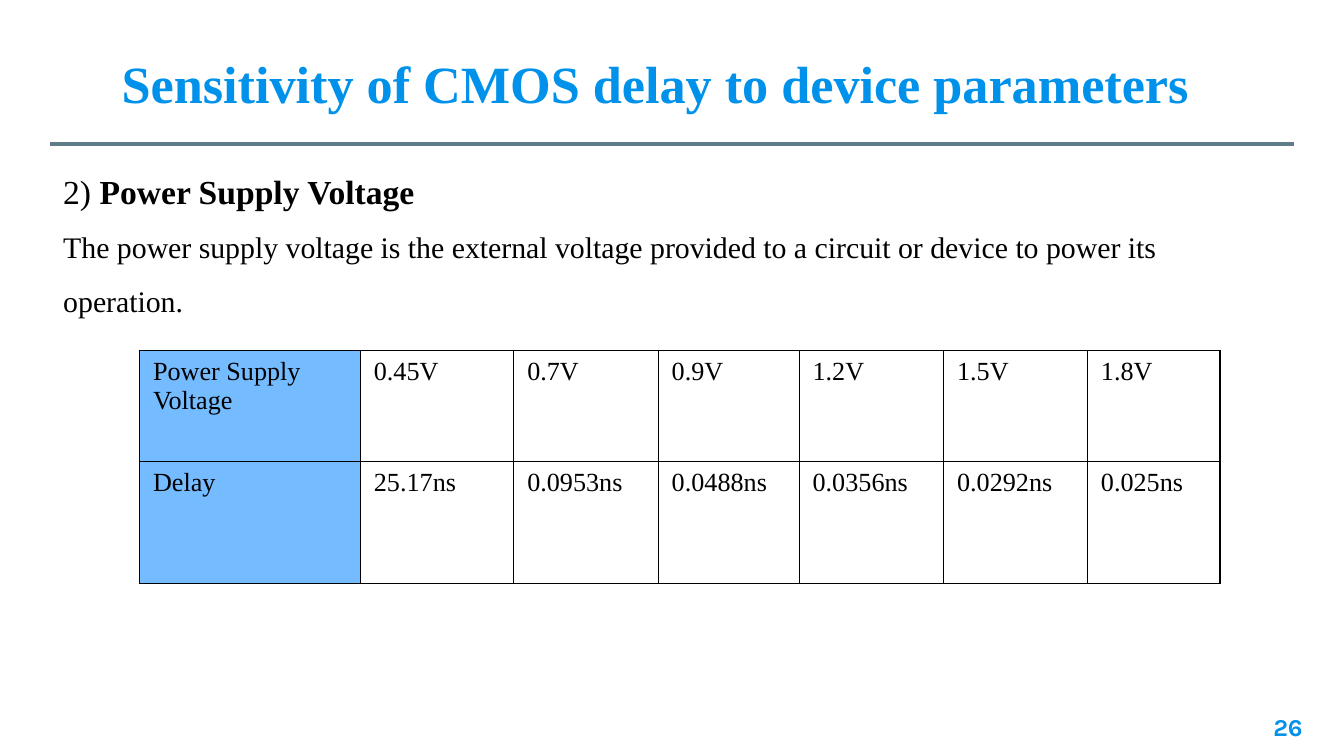
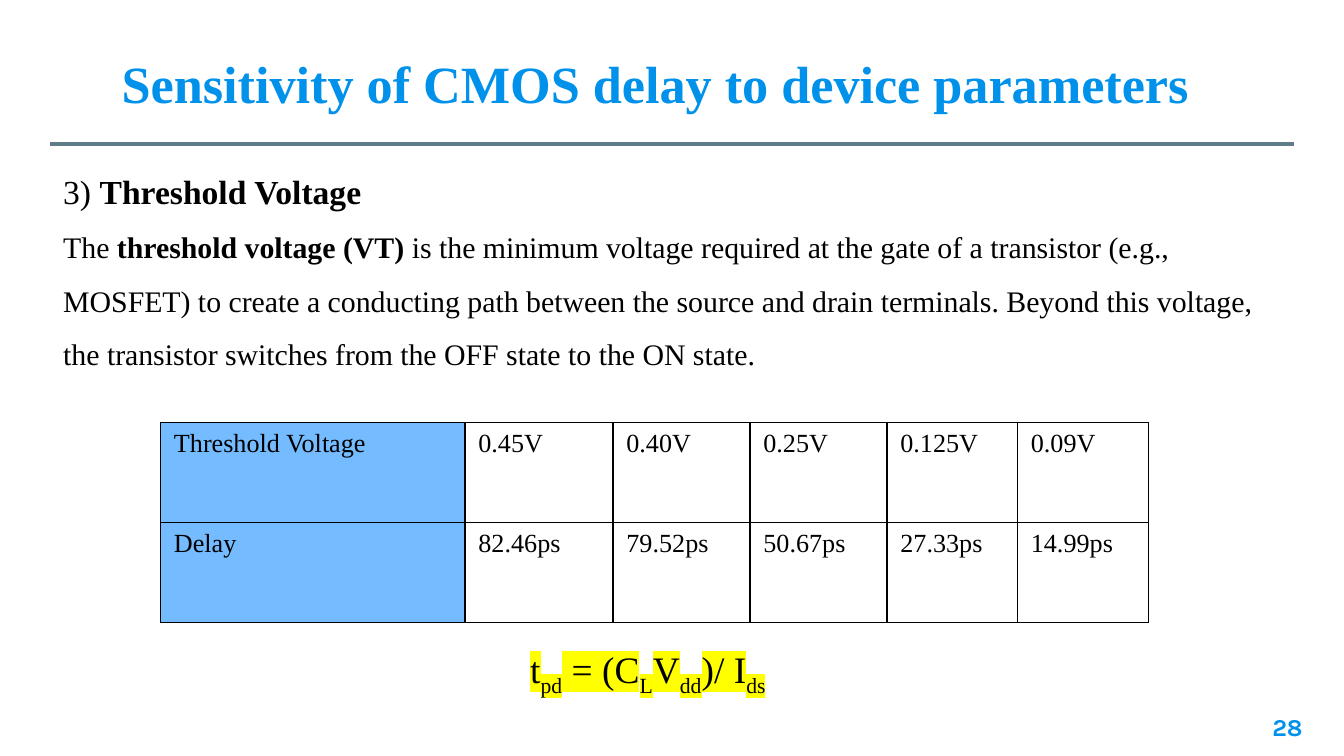
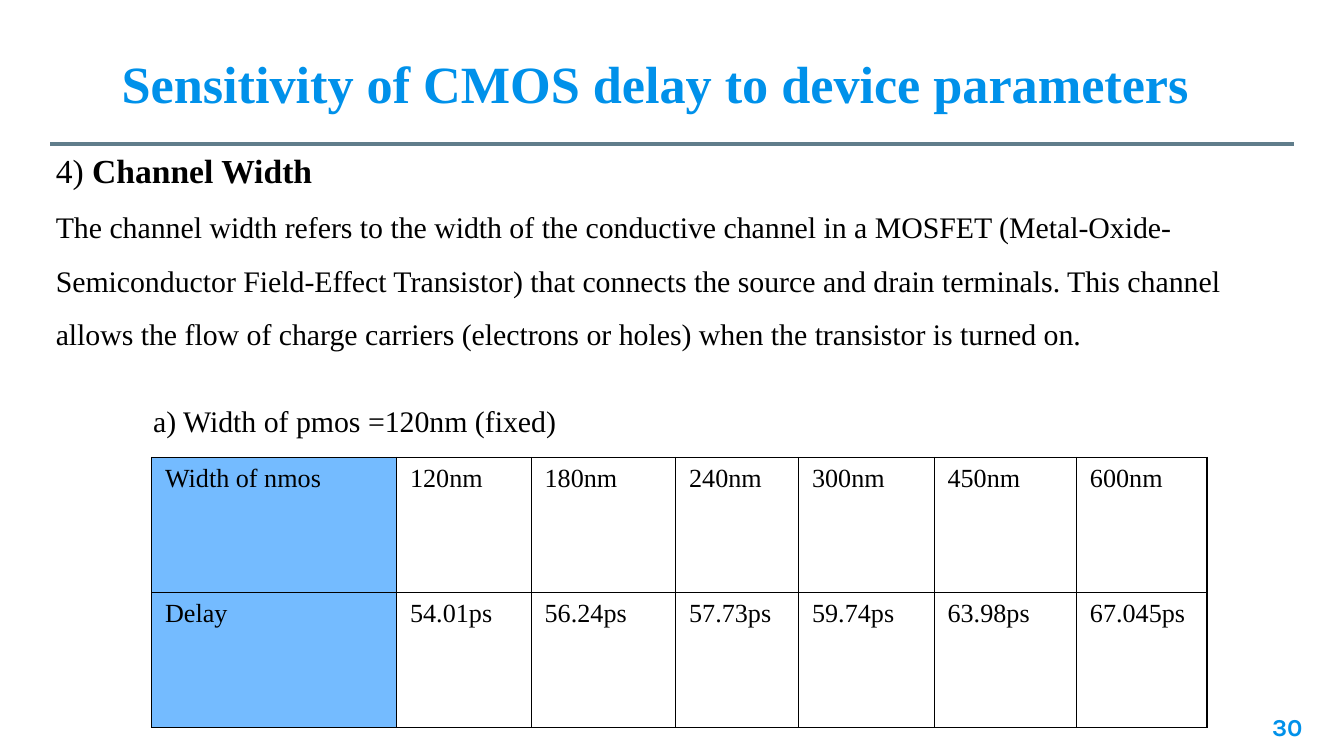
from dataclasses import dataclass
from typing import NamedTuple

import pptx
import pptx.dml.color
import pptx.enum.shapes
import pptx.enum.text
import pptx.oxml
import pptx.oxml.ns
import pptx.presentation
import pptx.shapes.autoshape
import pptx.slide
import pptx.table
import pptx.text.text
import pptx.util

Pt = pptx.util.Pt
RGBColor = pptx.dml.color.RGBColor
Align = pptx.enum.text.PP_ALIGN
Anchor = pptx.enum.text.MSO_ANCHOR


@dataclass(frozen=True)
class Theme:
    accent: str = "0091EA"
    rule: str = "607D8B"
    ink: str = "000000"
    label_fill: str = "74BBFF"
    highlight: str = "FFFF00"
    text_font: str = "Times New Roman"
    number_font: str = "Karla"
    title_size: float = 28
    formula_size: float = 20
    heading_size: float = 18
    body_size: float = 16
    table_size: float = 14
    number_size: float = 13
    rule_width: float = 2.25
    border_width: float = 0.75


THEME = Theme()
TITLE = "Sensitivity of CMOS delay to device parameters"


class Box(NamedTuple):
    left: float
    top: float
    width: float
    height: float


class Span(NamedTuple):
    text: str
    bold: bool = False
    subscript: bool = False
    highlighted: bool = False


class DelayTable(NamedTuple):
    left: float
    top: float
    column_widths: list[float]
    row_heights: list[float]
    rows: list[list[str]]


class Caption(NamedTuple):
    box: Box
    spans: list[Span]
    size: float


class ParameterSlide(NamedTuple):
    page: int
    item: str
    heading: str
    body_box: Box
    body: list[Span]
    table: DelayTable
    heading_spacing: float = 1.5
    caption: Caption | None = None


def formula_spans() -> list[Span]:
    """Alternate base text and subscripts."""
    parts = ["t", "pd", " = (C", "L", "V", "dd", ")/ I", "ds"]
    return [Span(part, subscript=index % 2 == 1, highlighted=True)
            for index, part in enumerate(parts)]


SLIDES = [
    ParameterSlide(
        page=26,
        item="2) ",
        heading="Power Supply Voltage",
        body_box=Box(26.8, 77, 666, 94),
        body=[Span("The power supply voltage is the external voltage provided to a "
                   "circuit or device to power its operation.")],
        table=DelayTable(
            74.8, 187.8, [118.3, 82.2, 77.4, 75.5, 77.4, 77.1, 71], [59.6, 65.2],
            [["Power Supply Voltage", "0.45V", "0.7V", "0.9V", "1.2V", "1.5V", "1.8V"],
             ["Delay", "25.17ns", "0.0953ns", "0.0488ns", "0.0356ns", "0.0292ns",
              "0.025ns"]]),
    ),
    ParameterSlide(
        page=28,
        item="3) ",
        heading="Threshold Voltage",
        body_box=Box(26.8, 77, 666, 124),
        body=[Span("The "), Span("threshold voltage (VT)", bold=True),
              Span(" is the minimum voltage required at the gate of a transistor "
                   "(e.g., MOSFET) to create a conducting path between the source and "
                   "drain terminals. Beyond this voltage, the transistor switches from "
                   "the OFF state to the ON state.")],
        table=DelayTable(
            86, 226.3, [163.1, 79.3, 73.4, 73.4, 69.9, 70.2], [53.6, 53.6],
            [["Threshold Voltage", "0.45V", "0.40V", "0.25V", "0.125V", "0.09V"],
             ["Delay", "82.46ps", "79.52ps", "50.67ps", "27.33ps", "14.99ps"]]),
        caption=Caption(Box(277, 342.8, 308, 31.5), formula_spans(), THEME.formula_size),
    ),
    ParameterSlide(
        page=30,
        item="4) ",
        heading="Channel Width",
        body_box=Box(22.8, 77, 666, 113),
        body=[Span("The channel width refers to the width of the conductive channel in a "
                   "MOSFET (Metal-Oxide-Semiconductor Field-Effect Transistor) that "
                   "connects the source and drain terminals. This channel allows the flow "
                   "of charge carriers (electrons or holes) when the transistor is turned "
                   "on.")],
        table=DelayTable(
            81.2, 245.1, [131.3, 72.1, 77.4, 65.9, 72.6, 76.3, 69.9], [72.3, 72.3],
            [["Width of nmos", "120nm", "180nm", "240nm", "300nm", "450nm", "600nm"],
             ["Delay", "54.01ps", "56.24ps", "57.73ps", "59.74ps", "63.98ps",
              "67.045ps"]]),
        heading_spacing=1,
        caption=Caption(Box(75, 212.4, 640, 26.6),
                        [Span("a) Width of pmos =120nm (fixed)")], THEME.body_size),
    ),
]


def style_paragraph(paragraph: pptx.text.text._Paragraph, size: float,
                    color: str = THEME.ink, font_name: str = THEME.text_font,
                    bold: bool = False) -> None:
    font = paragraph.font
    font.name, font.size, font.bold = font_name, Pt(size), bold
    font.color.rgb = RGBColor.from_string(color)


def write_spans(paragraph: pptx.text.text._Paragraph, spans: list[Span], size: float,
                line_spacing: float = 1) -> None:
    style_paragraph(paragraph, size)
    paragraph.line_spacing = line_spacing
    for span in spans:
        run = paragraph.add_run()
        run.text = span.text
        if span.bold:
            run.font.bold = True
        properties = run.font._element
        if span.subscript:
            properties.set("baseline", "-25000")
        if span.highlighted:
            properties.append(pptx.oxml.parse_xml(
                f'<a:highlight {pptx.oxml.ns.nsdecls("a")}>'
                f'<a:srgbClr val="{THEME.highlight}"/></a:highlight>'))


def add_text_box(slide: pptx.slide.Slide, box: Box) -> pptx.text.text.TextFrame:
    frame = slide.shapes.add_textbox(*map(Pt, box)).text_frame
    frame.word_wrap = True
    return frame


def set_title(slide: pptx.slide.Slide) -> None:
    title = slide.shapes.title
    title.left, title.top, title.width, title.height = map(Pt, (23, 23.8, 682, 41))
    frame = title.text_frame
    frame.text = TITLE
    frame.auto_size = pptx.enum.text.MSO_AUTO_SIZE.NONE
    frame.vertical_anchor = Anchor.TOP
    frame.margin_left = Pt(42.2)
    paragraph = frame.paragraphs[0]
    paragraph.alignment = Align.LEFT
    style_paragraph(paragraph, THEME.title_size, THEME.accent, bold=True)


def add_title_rule(slide: pptx.slide.Slide) -> None:
    rule = slide.shapes.add_connector(pptx.enum.shapes.MSO_CONNECTOR.STRAIGHT,
                                      Pt(26.8), Pt(77), Pt(693.2), Pt(77))
    rule.line.color.rgb = RGBColor.from_string(THEME.rule)
    rule.line.width = Pt(THEME.rule_width)
    rule._element.spPr.append(
        pptx.oxml.parse_xml(f'<a:effectLst {pptx.oxml.ns.nsdecls("a")}/>'))


def add_page_number(slide: pptx.slide.Slide, page: int) -> None:
    frame = add_text_box(slide, Box(661.7, 373.7, 43.2, 31))
    frame.margin_left = frame.margin_right = frame.margin_top = frame.margin_bottom = Pt(7.2)
    frame.vertical_anchor = Anchor.MIDDLE
    paragraph = frame.paragraphs[0]
    paragraph.text = str(page)
    paragraph.alignment = Align.RIGHT
    style_paragraph(paragraph, THEME.number_size, THEME.accent, THEME.number_font, True)


def add_cell_borders(cell: pptx.table._Cell) -> None:
    """Insert the four side lines ahead of the fill, as the schema orders them."""
    properties = cell._tc.get_or_add_tcPr()
    for index, side in enumerate(("lnL", "lnR", "lnT", "lnB")):
        properties.insert(index, pptx.oxml.parse_xml(
            f'<a:{side} {pptx.oxml.ns.nsdecls("a")} w="{Pt(THEME.border_width)}">'
            f'<a:solidFill><a:srgbClr val="{THEME.ink}"/></a:solidFill></a:{side}>'))


def add_delay_table(slide: pptx.slide.Slide, content: DelayTable) -> None:
    widths, heights = content.column_widths, content.row_heights
    table = slide.shapes.add_table(len(heights), len(widths), Pt(content.left),
                                   Pt(content.top), Pt(sum(widths)),
                                   Pt(sum(heights))).table
    table.first_row = table.horz_banding = False
    for column, width in zip(table.columns, widths):
        column.width = Pt(width)
    for row, height, texts in zip(table.rows, heights, content.rows):
        row.height = Pt(height)
        for index, (cell, text) in enumerate(zip(row.cells, texts)):
            cell.text = text
            style_paragraph(cell.text_frame.paragraphs[0], THEME.table_size)
            if index == 0:
                cell.fill.solid()
                cell.fill.fore_color.rgb = RGBColor.from_string(THEME.label_fill)
            else:
                cell.fill.background()
            add_cell_borders(cell)


def add_parameter_slide(presentation: pptx.presentation.Presentation,
                        content: ParameterSlide) -> None:
    slide = presentation.slides.add_slide(
        presentation.slide_layouts.get_by_name("Title Only"))
    set_title(slide)
    add_page_number(slide, content.page)
    add_title_rule(slide)
    frame = add_text_box(slide, content.body_box)
    write_spans(frame.paragraphs[0], [Span(content.item), Span(content.heading, bold=True)],
                THEME.heading_size, content.heading_spacing)
    write_spans(frame.add_paragraph(), content.body, THEME.body_size, 1.5)
    add_delay_table(slide, content.table)
    if content.caption:
        box, spans, size = content.caption
        write_spans(add_text_box(slide, box).paragraphs[0], spans, size)


def main() -> None:
    presentation = pptx.Presentation()
    presentation.slide_width, presentation.slide_height = Pt(720), Pt(405)
    for content in SLIDES:
        add_parameter_slide(presentation, content)
    presentation.save("out.pptx")


if __name__ == "__main__":
    main()
